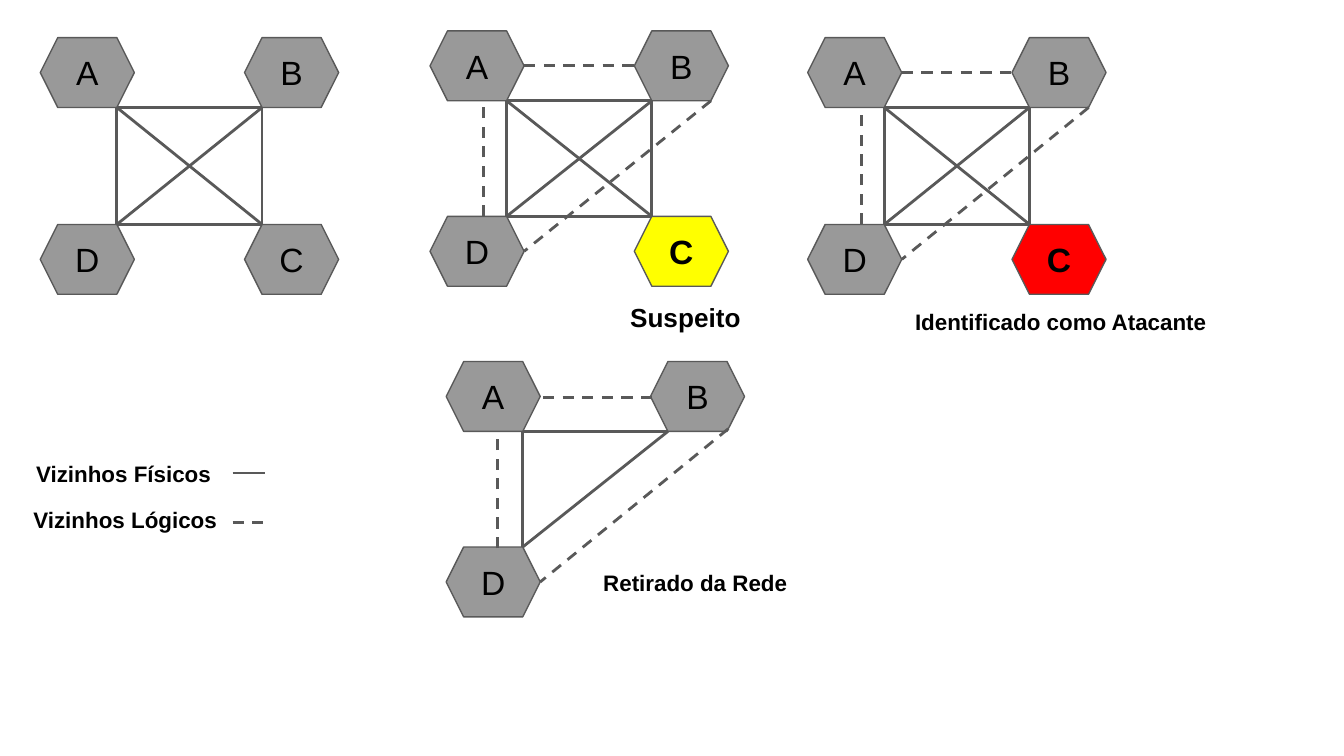
from lxml import etree
from pptx import Presentation
from pptx import util as u
from pptx.dml.color import RGBColor
from pptx.enum import dml, shapes, text
from pptx.oxml import ns

GRAY = RGBColor(0x99, 0x99, 0x99)
DARK_GRAY = RGBColor(0x59, 0x59, 0x59)
YELLOW = RGBColor(0xFF, 0xFF, 0x00)
RED = RGBColor(0xFF, 0x00, 0x00)
BLACK = RGBColor(0x00, 0x00, 0x00)

NODE_WIDTH, NODE_HEIGHT = 0.7, 0.52
CORNER = 0.13
NETWORK_WIDTH = 2.22


def write_text(shape, words, size, bold, alignment):
    frame = shape.text_frame
    margins = dict.fromkeys(
        ("margin_left", "margin_right", "margin_top", "margin_bottom"), u.Inches(0.1)
    )
    formats = {"word_wrap": True, "vertical_anchor": text.MSO_ANCHOR.MIDDLE, **margins}
    for name, value in formats.items():
        setattr(frame, name, value)
    paragraph = frame.paragraphs[0]
    paragraph.alignment = alignment
    run = paragraph.add_run()
    run.text = words
    for name, value in {"name": "Arial", "size": u.Pt(size), "bold": bold}.items():
        setattr(run.font, name, value)
    run.font.color.rgb = BLACK


def add_label(slide, box, words, size=12):
    shape = slide.shapes.add_textbox(*map(u.Inches, box))
    write_text(shape, words, size, True, text.PP_ALIGN.LEFT)


def add_link(slide, start, end, dashed=False):
    link = slide.shapes.add_connector(
        shapes.MSO_CONNECTOR.STRAIGHT, *map(u.Inches, (*start, *end))
    )
    link.line.color.rgb = DARK_GRAY
    link.line.width = u.Pt(1.5)
    if dashed:
        link.line.dash_style = dml.MSO_LINE.DASH
    etree.SubElement(link._element.spPr, ns.qn("a:effectLst"))


def add_node(slide, left, top, letter, color):
    node = slide.shapes.add_shape(
        shapes.MSO_SHAPE.HEXAGON,
        *map(u.Inches, (left, top, NODE_WIDTH, NODE_HEIGHT)),
    )
    node.adjustments[0] = 0.25
    node.shadow.inherit = False
    node.fill.solid()
    node.fill.fore_color.rgb = color
    node.line.color.rgb = DARK_GRAY
    node.line.width = u.Pt(0.75)
    write_text(node, letter, 18, color != GRAY, text.PP_ALIGN.CENTER)


def add_network(slide, box, letters="ABDC", c_color=GRAY, logical=True, shift=0):
    left, top, width, height = box
    right_column = left + width - NODE_WIDTH
    bottom_row = top + height - NODE_HEIGHT
    places = {
        "A": (left, top),
        "B": (right_column, top),
        "D": (left, bottom_row),
        "C": (right_column, bottom_row),
    }
    for letter in letters:
        add_node(slide, *places[letter], letter, c_color if letter == "C" else GRAY)

    inner_left = left + NODE_WIDTH - CORNER
    inner_right = right_column + CORNER
    inner_top = top + NODE_HEIGHT
    ports = {
        "A": (inner_left, inner_top),
        "B": (inner_right, inner_top),
        "D": (inner_left, bottom_row),
        "C": (inner_right, bottom_row),
    }
    for first, second in ("DA", "BC", "CD", "AB", "AC", "DB"):
        if first in letters and second in letters:
            add_link(slide, ports[first], ports[second])

    if logical:
        middle = top + NODE_HEIGHT / 2 + shift / 2
        column = left + 0.4 - shift
        add_link(slide, (left + NODE_WIDTH + shift, middle),
                 (right_column + shift, middle), True)
        add_link(slide, (left + width - CORNER + shift / 2, inner_top - shift),
                 (left + NODE_WIDTH, bottom_row + NODE_HEIGHT / 2), True)
        add_link(slide, (column, bottom_row + shift / 2),
                 (column, inner_top + shift / 2), True)


def add_legend(slide, box):
    left, top, width, height = box
    rows = (("Vizinhos Físicos", 0.02, 0, 0.2, False),
            ("Vizinhos Lógicos ", 0, 0.34, 0.57, True))
    for words, indent, offset, line_offset, dashed in rows:
        add_label(slide, (left + indent, top + offset, width, height), words)
        line_top = top + line_offset
        add_link(slide, (left + 1.58, line_top), (left + 1.82, line_top), dashed)


presentation = Presentation()
presentation.slide_width = u.Inches(10)
presentation.slide_height = presentation.slide_width * 9 // 16
slide = presentation.slides.add_slide(presentation.slide_layouts[6])

add_network(slide, (0.3, 0.28, NETWORK_WIDTH, 1.91), logical=False)
add_network(slide, (3.2, 0.23, NETWORK_WIDTH, 1.9), c_color=YELLOW)
add_network(slide, (6.01, 0.28, NETWORK_WIDTH, 1.91), c_color=RED)
add_network(slide, (3.32, 2.69, NETWORK_WIDTH, 1.9), letters="ABD", shift=0.02)
add_label(slide, (4.59, 2.23, 1.03, 0.26), "Suspeito", 14)
add_label(slide, (6.71, 2.19, 2.61, 0.41), "Identificado como Atacante ")
add_label(slide, (4.39, 4.13, 1.6, 0.41), "Retirado da Rede")
add_legend(slide, (0.15, 3.32, 2.35, 0.41))

presentation.save("out.pptx")
